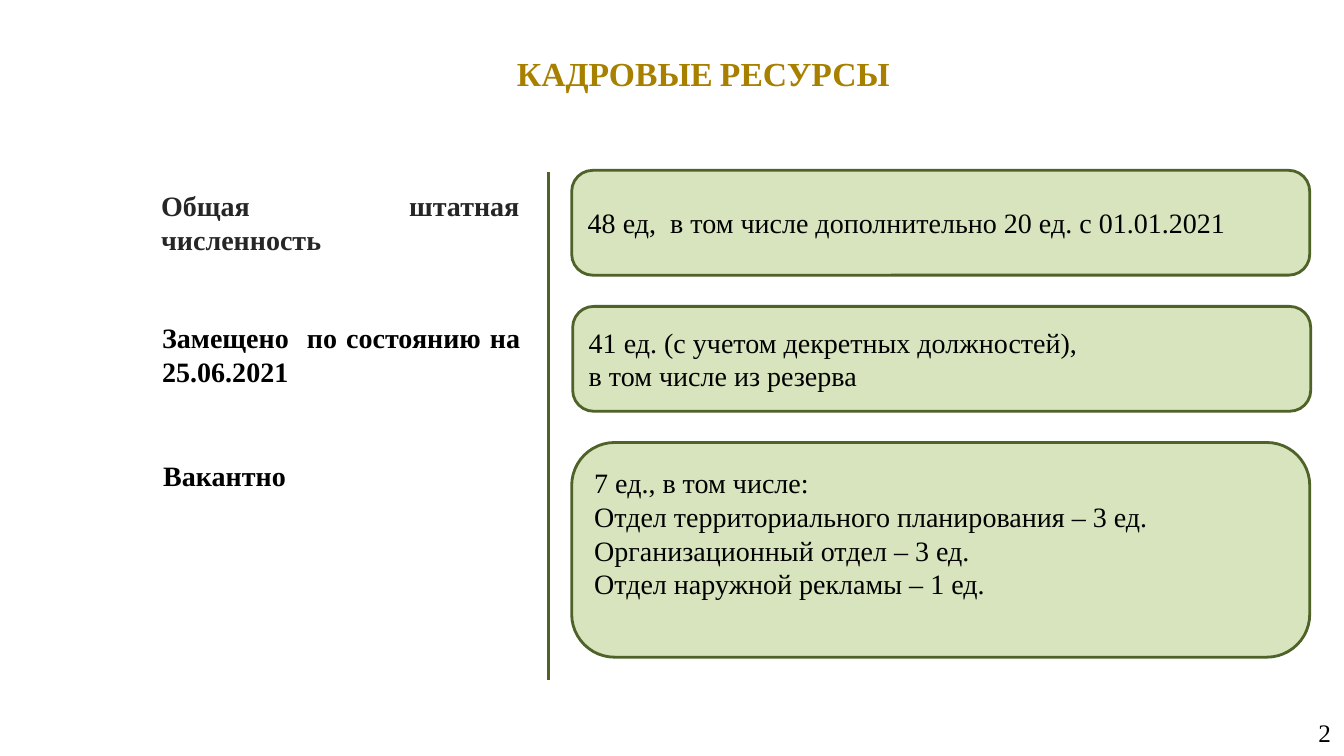
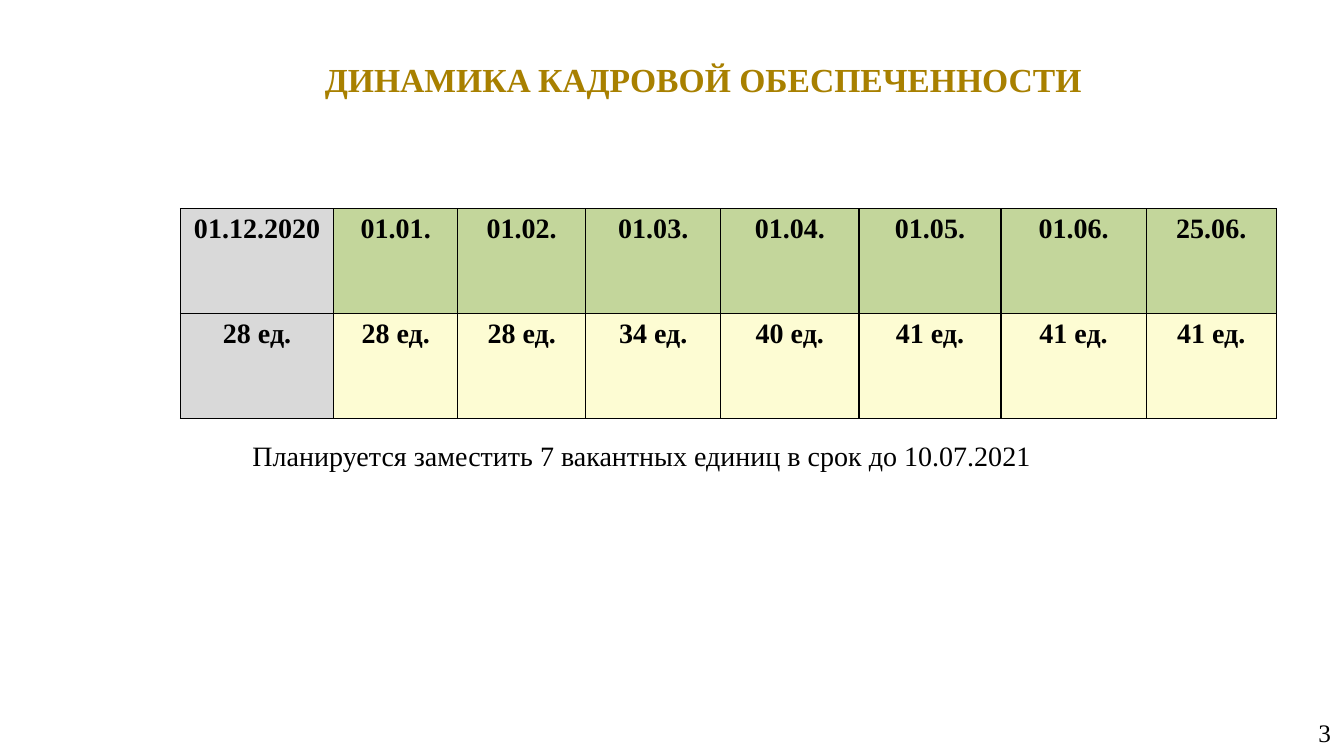
from pptx import Presentation
from pptx.dml.color import RGBColor
from pptx.enum.shapes import MSO_CONNECTOR as CONN, MSO_SHAPE as SHAPE
from pptx.enum.text import MSO_ANCHOR as ANCHOR, PP_ALIGN as ALIGN
from pptx.oxml.ns import qn
from pptx.util import Inches, Pt
from lxml.etree import SubElement

FONT = "Times New Roman"
GOLD, BLACK, CHARCOAL = "A88000", "000000", "262626"
OLIVE, PALE_GREEN, GREEN = "4F6228", "D7E4BD", "C3D69B"
GRAY, CREAM = "D9D9D9", "FDFCD3"
NARROW, WIDE = (0.1, 0.05), (0.13, 0.07)


def rgb(value):
    return RGBColor.from_string(value)


def add_run(p, text, size=20, color=BLACK, bold=False):
    r = p.add_run()
    r.text = text
    r.font.name = FONT
    r.font.size = Pt(size)
    r.font.bold = bold
    r.font.color.rgb = rgb(color)


def write(tf, lines, align=ALIGN.LEFT, **fmt):
    for i, line in enumerate(lines):
        p = tf.add_paragraph() if i else tf.paragraphs[0]
        p.alignment = align
        add_run(p, line, **fmt)


def frame(sp, inset, anchor):
    tf = sp.text_frame
    tf.word_wrap = True
    tf.vertical_anchor = anchor
    tf.margin_left = tf.margin_right = Inches(inset[0])
    tf.margin_top = tf.margin_bottom = Inches(inset[1])
    return tf


class Deck:
    def __init__(self):
        self.prs = Presentation()
        self.prs.slide_width = Inches(13.33)
        self.prs.slide_height = Inches(7.5)
        self.s = None

    def slide(self, title, top, number):
        self.s = self.prs.slides.add_slide(self.prs.slide_layouts[6])
        first, rest = title.split(" ", 1)
        p = self.box(1.65, top, 10.65, 0.53, WIDE).paragraphs[0]
        p.alignment = ALIGN.CENTER
        for text, size in ((first, 24), (" ", 20), (rest, 24)):
            add_run(p, text, size, GOLD, True)
        self.text(number, 10.22, 7.07, 3.11, 0.4, WIDE, ANCHOR.MIDDLE,
                  align=ALIGN.RIGHT, size=18)

    def box(self, x, y, w, h, inset, anchor=ANCHOR.TOP):
        sp = self.s.shapes.add_textbox(Inches(x), Inches(y), Inches(w), Inches(h))
        return frame(sp, inset, anchor)

    def text(self, text, x, y, w, h, inset=NARROW, anchor=ANCHOR.TOP, **fmt):
        write(self.box(x, y, w, h, inset, anchor), [text], **fmt)

    def panel(self, lines, x, y, w, h, lift=0):
        sp = self.s.shapes.add_shape(SHAPE.ROUNDED_RECTANGLE, Inches(x), Inches(y),
                                     Inches(w), Inches(h))
        sp.adjustments[0] = 0.2
        sp.shadow.inherit = False
        sp.fill.solid()
        sp.fill.fore_color.rgb = rgb(PALE_GREEN)
        sp.line.color.rgb = rgb(OLIVE)
        sp.line.width = Pt(2)
        tf = frame(sp, NARROW, ANCHOR.MIDDLE)
        tf.margin_bottom += Inches(lift)
        write(tf, lines)

    def line(self, x1, y1, x2, y2):
        cn = self.s.shapes.add_connector(CONN.STRAIGHT, Inches(x1), Inches(y1),
                                         Inches(x2), Inches(y2))
        cn.line.color.rgb = rgb(OLIVE)
        cn.line.width = Pt(2)
        SubElement(cn._element.spPr, qn("a:effectLst"))

    def table(self, rows, x, y, widths, height, fills):
        table = self.s.shapes.add_table(len(rows), len(widths), Inches(x), Inches(y),
                                        Inches(sum(widths)),
                                        Inches(height * len(rows))).table
        table.first_row = table.horz_banding = False
        for col, width in zip(table.columns, widths):
            col.width = Inches(width)
        for i, row in enumerate(rows):
            table.rows[i].height = Inches(height)
            for j, text in enumerate(row):
                cell = table.cell(i, j)
                self.borders(cell)
                cell.fill.solid()
                cell.fill.fore_color.rgb = rgb(fills[i] if j else GRAY)
                write(cell.text_frame, [text], align=ALIGN.CENTER, bold=True)

    def borders(self, cell):
        tc_pr = cell._tc.get_or_add_tcPr()
        for side in ("lnL", "lnR", "lnT", "lnB"):
            ln = SubElement(tc_pr, qn(f"a:{side}"), w=str(Pt(0.96)))
            fill = SubElement(ln, qn("a:solidFill"))
            SubElement(fill, qn("a:srgbClr"), val=BLACK)


deck = Deck()

deck.slide("КАДРОВЫЕ РЕСУРСЫ", 0.46, "2")
deck.line(5.44, 1.71, 5.44, 6.75)
staff = [
    ("Общая штатная численность", 1.5, 1.82, 0.76, CHARCOAL,
     ["48 ед,  в том числе дополнительно 20 ед. с 01.01.2021"], 5.67, 1.04, 0),
    ("Замещено  по состоянию на 25.06.2021", 1.51, 3.13, 0.77, BLACK,
     ["41 ед. (с учетом декретных должностей),", "в том числе из резерва"],
     5.68, 1.04, 0),
    ("Вакантно", 1.52, 4.5, 0.43, BLACK,
     ["7 ед., в том числе:", "Отдел территориального планирования – 3 ед.",
      "Организационный отдел – 3 ед.", "Отдел наружной рекламы – 1 ед."],
     5.67, 2.13, 0.33),
]
for i, (label, x, y, h, color, lines, panel_x, panel_h, lift) in enumerate(staff):
    deck.text(label, x, y, 3.75, h, align=ALIGN.JUSTIFY, color=color, bold=True)
    deck.panel(lines, panel_x, 1.69 + 1.35 * i, 7.32, panel_h, lift)

deck.slide("ДИНАМИКА КАДРОВОЙ ОБЕСПЕЧЕННОСТИ", 0.51, "3")
dates = ["01.12.2020"] + [f"01.0{month}." for month in range(1, 7)] + ["25.06."]
counts = [f"{n} ед." for n in (28, 28, 28, 34, 40, 41, 41, 41)]
deck.table([dates, counts], 1.79, 2.07,
           [1.52, 1.23, 1.27, 1.34, 1.37, 1.41, 1.44, 1.29], 1.04, [GREEN, CREAM])
deck.text("Планируется заместить 7 вакантных единиц в срок до 10.07.2021",
          0.63, 4.14, 11.47, 0.76, WIDE, ANCHOR.MIDDLE, align=ALIGN.CENTER)

deck.prs.save("out.pptx")
